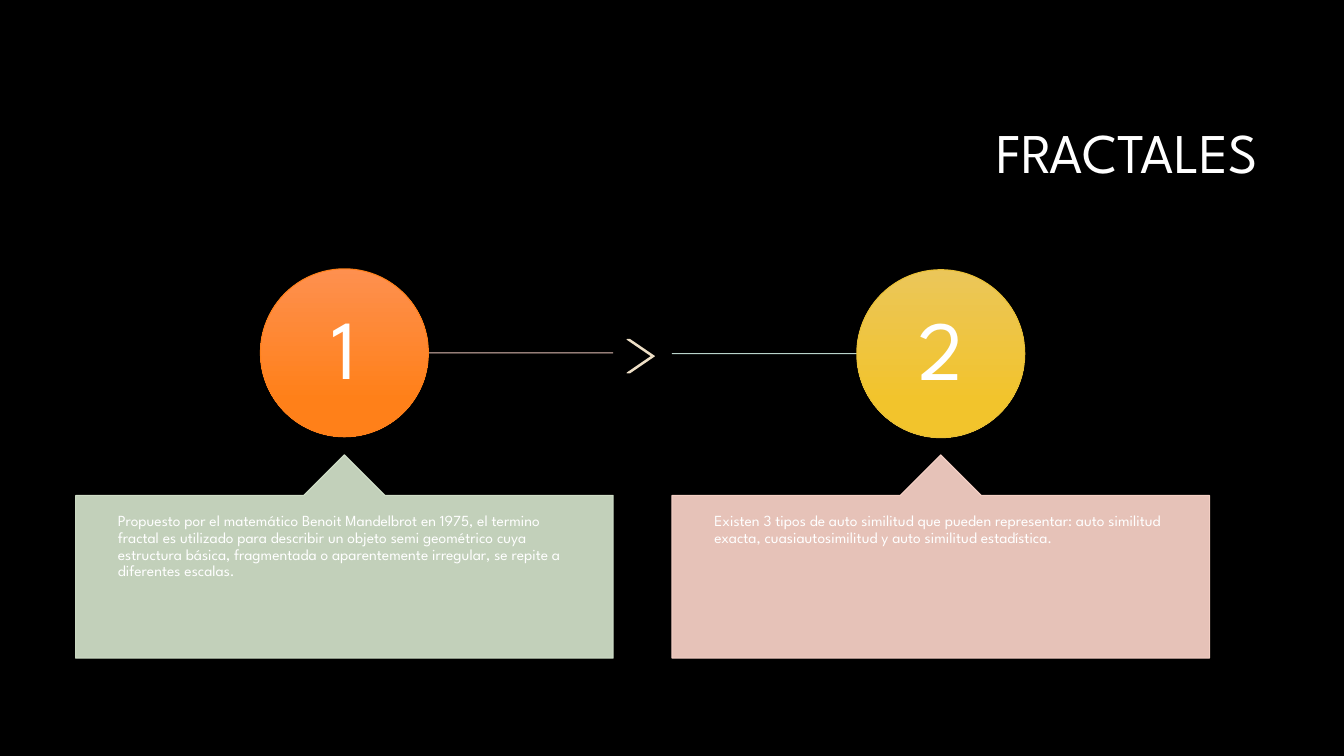
from collections import namedtuple

from lxml.etree import SubElement
from pptx import Presentation
from pptx.dml.color import RGBColor
from pptx.enum.shapes import MSO_CONNECTOR as Connector, MSO_SHAPE as Shape
from pptx.enum.text import MSO_ANCHOR as Anchor, MSO_AUTO_SIZE as AutoSize, PP_ALIGN as Align
from pptx.oxml.ns import qn
from pptx.util import Inches, Pt

CELL = Inches(1 / 12)
FONT = "League Spartan"
WHITE = "FFFFFF"
TITLE_ONLY = 5
Box = namedtuple("Box", "left top width height")
Step = namedtuple("Step", "number text circle_top circle_colors outline callout line")

STEPS = [
    Step("1", "Propuesto por el matemático Benoit Mandelbrot en 1975, el termino fractal "
         "es utilizado para describir un objeto semi geométrico cuya estructura básica, "
         "fragmentada o aparentemente irregular, se repite a diferentes escalas.",
         32, ("FE904F", "FF8019"), "FE801A", "D8E7CF", "FFD8CD"),
    Step("2", "Existen 3 tipos de auto similitud que pueden representar: auto similitud "
         "exacta, cuasiautosimilitud y auto similitud estadística.",
         32.1, ("EBC659", "F2C42C"), "E9BF35", "FFD8CD", "CEEBE2"),
]


def cells(*counts):
    """Turn counts of grid cells into lengths."""
    return [round(count * CELL) for count in counts]


def color(text):
    """Turn a hex string into a colour."""
    return RGBColor.from_string(text)


def soften(properties):
    """Make every plain colour in the shape properties 90 % opaque."""
    for tint in properties.iter(qn("a:srgbClr")):
        SubElement(tint, qn("a:alpha"), val="90000")


def set_text(shape, text, size, align, anchor, insets=None):
    """Write one formatted paragraph into a shape."""
    frame = shape.text_frame
    frame.word_wrap = True
    frame.auto_size = AutoSize.NONE
    frame.vertical_anchor = anchor
    if insets:
        across, down = map(Inches, insets)
        frame.margin_left = frame.margin_right = across
        frame.margin_top = frame.margin_bottom = down
    para = frame.paragraphs[0]
    para.text = text
    para.alignment = align
    para.line_spacing = 0.9
    para.font.name, para.font.size = FONT, Pt(size)
    para.font.color.rgb = color(text=WHITE)


def add_title(page, box):
    """Fill and place the title placeholder."""
    title = page.shapes.title
    title.left, title.top, title.width, title.height = cells(*box)
    set_text(title, "FRACTALES", 40, Align.RIGHT, Anchor.MIDDLE)


def add_soft_shape(page, kind, box, tint, adjustments):
    """Draw a translucent shape in one colour."""
    shape = page.shapes.add_shape(kind, *cells(*box))
    shape.shadow.inherit = False
    for index, value in enumerate(adjustments):
        shape.adjustments[index] = value
    shape.fill.solid()
    shape.fill.fore_color.rgb = shape.line.color.rgb = color(tint)
    shape.line.width = Pt(0.75)
    soften(shape.element.spPr)


def add_line(page, start, end, height, tint):
    """Draw a thin level line."""
    line = page.shapes.add_connector(Connector.STRAIGHT, *cells(start, height, end, height))
    line.line.color.rgb = color(tint)
    line.line.width = Pt(0.75)
    soften(line.element.spPr)
    SubElement(line.element.spPr, qn("a:effectLst"))


def add_circle(page, box, step):
    """Draw a shaded circle with its number."""
    circle = page.shapes.add_shape(Shape.OVAL, *cells(*box))
    circle.shadow.inherit = False
    circle.fill.gradient()
    circle.fill.gradient_angle = 270
    for stop, position, tint in zip(circle.fill.gradient_stops, (0, 0.78), step.circle_colors):
        stop.position = position
        stop.color.rgb = color(tint)
    circle.line.color.rgb = color(step.outline)
    circle.line.width = Pt(0.75)
    inset = box.width * 0.145
    side = box.width - 2 * inset
    number = page.shapes.add_textbox(*cells(box.left + inset, box.top + inset, side, side))
    set_text(number, step.number, 60, Align.CENTER, Anchor.MIDDLE, (0.06, 0.06))


def add_callout(page, box, step):
    """Draw a callout pointing up, with its text in the body."""
    add_soft_shape(page, Shape.UP_ARROW_CALLOUT, box, step.callout, (0.5, 0.2, 0.2, 1))
    head = box.height * 0.2
    body = page.shapes.add_textbox(
        *cells(box.left, box.top + head, box.width, box.height - head))
    set_text(body, step.text, 11, Align.LEFT, Anchor.TOP, (0.42, 0.18))


def add_step(page, box, step, leads_out):
    """Place the line, circle and callout of a step in its column."""
    diameter = 20
    circle = Box(box.left + (box.width - diameter) / 2, step.circle_top, diameter, diameter)
    middle = circle.top + diameter / 2
    if leads_out:
        add_line(page, circle.left + diameter, box.left + box.width, middle, step.line)
    else:
        add_line(page, box.left, circle.left, middle, step.line)
    add_circle(page, circle, step)
    callout_height = 24.2
    callout_top = box.top + box.height - callout_height
    add_callout(page, Box(box.left, callout_top, box.width, callout_height), step)


def add_steps(page, box):
    """Lay the steps out in columns with a chevron between them."""
    gap = 7
    width = (box.width - gap * (len(STEPS) - 1)) / len(STEPS)
    for index, step in enumerate(STEPS):
        column = Box(box.left + index * (width + gap), box.top, width, box.height)
        add_step(page, column, step, leads_out=index < len(STEPS) - 1)
    chevron = Box(box.left + width + 1.65, box.top + 8.4, 3.25, 4)
    add_soft_shape(page, Shape.CHEVRON, chevron, "F7E8CE", (0.9,))


def main():
    """Build and save the deck."""
    deck = Presentation()
    deck.slide_width, deck.slide_height = cells(160, 90)
    page = deck.slides.add_slide(deck.slide_layouts[TITLE_ONLY])
    page.background.fill.solid()
    page.background.fill.fore_color.rgb = color("000000")
    add_title(page, Box(38, 10, 113, 17))
    add_steps(page, Box(9, 32, 135, 46.35))
    deck.save("out.pptx")


if __name__ == "__main__":
    main()
